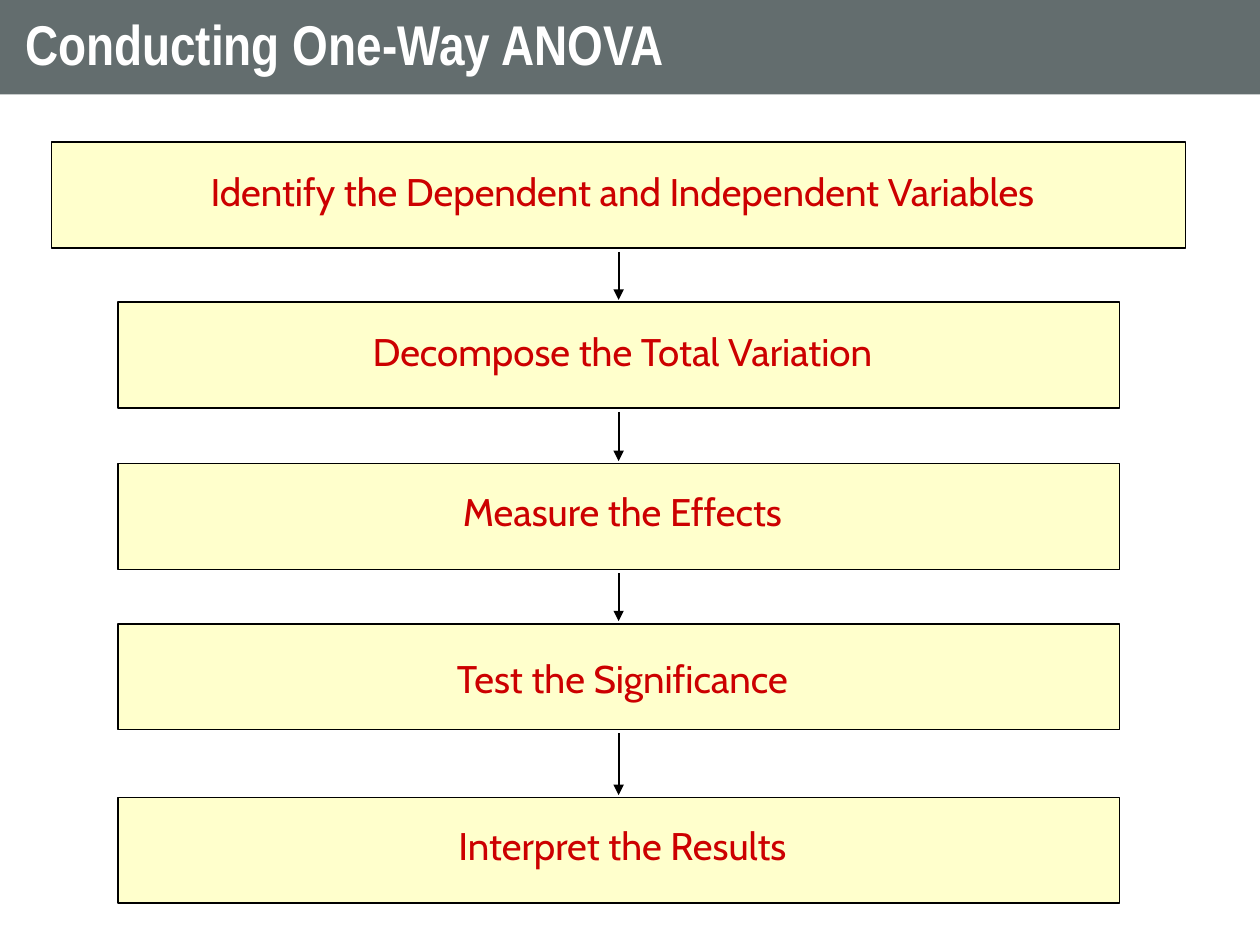
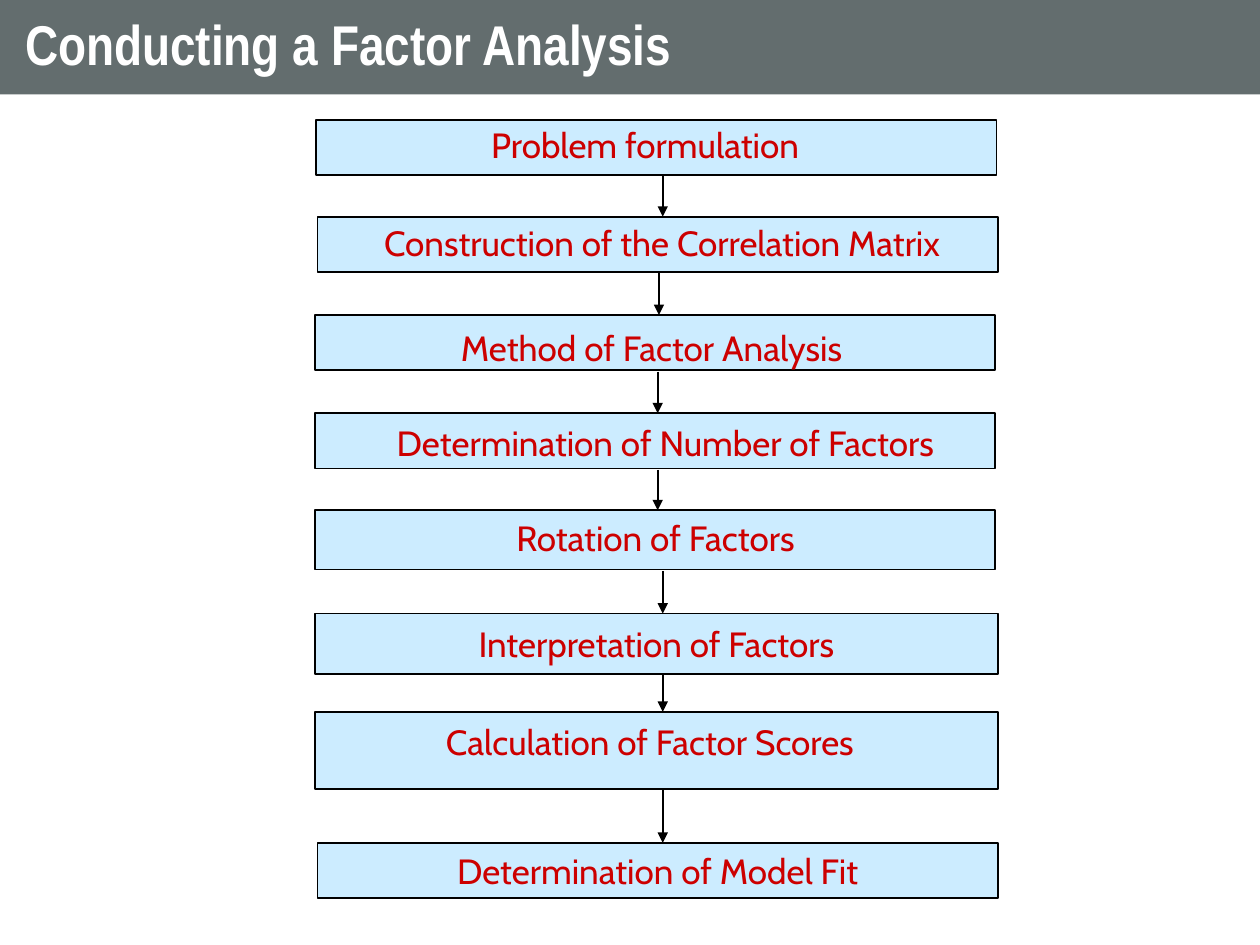
from dataclasses import dataclass
from typing import NamedTuple, Optional

from lxml import etree
from pptx import Presentation
from pptx.dml.color import RGBColor
from pptx.enum.shapes import MSO_CONNECTOR, MSO_SHAPE
from pptx.enum.text import MSO_ANCHOR, MSO_AUTO_SIZE, PP_ALIGN
from pptx.oxml.ns import qn
from pptx.presentation import Presentation as Deck
from pptx.shapes.autoshape import Shape
from pptx.slide import Slide
from pptx.util import Inches, Pt

RECTANGLE = MSO_SHAPE.RECTANGLE
STRAIGHT = MSO_CONNECTOR.STRAIGHT
TOP, MIDDLE = MSO_ANCHOR.TOP, MSO_ANCHOR.MIDDLE
LEFT, CENTER, RIGHT = PP_ALIGN.LEFT, PP_ALIGN.CENTER, PP_ALIGN.RIGHT
GROW, FIXED = MSO_AUTO_SIZE.SHAPE_TO_FIT_TEXT, MSO_AUTO_SIZE.NONE
TITLE_ONLY = 5


@dataclass(frozen=True)
class Theme:
    band: RGBColor = RGBColor(0x63, 0x6D, 0x6E)
    white: RGBColor = RGBColor(0xFF, 0xFF, 0xFF)
    outline: RGBColor = RGBColor(0x00, 0x00, 0x00)
    label: RGBColor = RGBColor(0xCC, 0x00, 0x00)
    yellow: RGBColor = RGBColor(0xFF, 0xFF, 0xCC)
    blue: RGBColor = RGBColor(0xCC, 0xEC, 0xFF)
    title_font: str = "Arial Narrow"
    label_font: str = "Cabin"
    title_size: int = 32
    anova_size: int = 22
    factor_size: int = 20
    line_width: int = 1


THEME = Theme()


class Frame(NamedTuple):
    """A rectangle in inches."""
    left: float
    top: float
    width: float
    height: float

    @property
    def bottom(self) -> float:
        return self.top + self.height


class Step(NamedTuple):
    """A box; its label sits in its own frame, or in the box if there is none."""
    text: str
    box: Frame
    label: Optional[Frame] = None
    align: PP_ALIGN = CENTER
    arrow_x: float = 5.26


@dataclass(frozen=True)
class Flowchart:
    title: str
    steps: list[Step]
    fill: RGBColor
    label_size: int
    label_anchor: MSO_ANCHOR
    wrap: bool
    gap_above_arrow: float
    gap_below_arrow: float


def anova_steps() -> list[Step]:
    center, label_center = 4.91, 4.94
    rows = [
        ("Identify the Dependent and Independent Variables", 1.13, 9, 9.24, 0.15),
        ("Decompose the Total Variation", 2.4, 7.95, 7.57, 0.15),
        ("Measure the Effects", 3.68, 7.95, 7.57, 0.14),
        ("Test the Significance", 4.95, 7.95, 7.57, 0.2),
        ("Interpret the Results", 6.33, 7.95, 7.57, 0.14),
    ]
    return [
        Step(text, Frame(center - width / 2, top, width, 0.84),
             Frame(label_center - label_width / 2, top + drop, label_width, 0.47),
             arrow_x=center)
        for text, top, width, label_width, drop in rows
    ]


FACTOR_STEPS = [
    Step("Problem formulation", Frame(2.51, 0.95, 5.4, 0.44),
         Frame(3.75, 0.93, 2.69, 0.43), RIGHT),
    Step("Construction of the Correlation Matrix", Frame(2.52, 1.72, 5.4, 0.44),
         Frame(2.95, 1.71, 4.81, 0.43), LEFT, 5.23),
    Step("Method of Factor Analysis", Frame(2.5, 2.5, 5.4, 0.44),
         Frame(3.56, 2.54, 3.35, 0.43), LEFT, 5.22),
    Step("Determination of Number of Factors", Frame(2.5, 3.28, 5.4, 0.44),
         Frame(3.05, 3.3, 4.62, 0.43), LEFT, 5.22),
    Step("Rotation of Factors", Frame(2.5, 4.05, 5.4, 0.47),
         Frame(4, 4.05, 2.52, 0.43), LEFT),
    Step("Interpretation of Factors", Frame(2.5, 4.87, 5.42, 0.48)),
    Step("Calculation of Factor Scores", Frame(2.5, 5.65, 5.42, 0.61),
         Frame(3.44, 5.67, 3.65, 0.43), LEFT),
    Step("Determination of Model Fit", Frame(2.52, 6.69, 5.4, 0.44)),
]

FLOWCHARTS = [
    Flowchart("Conducting One-Way ANOVA", anova_steps(), THEME.yellow,
              THEME.anova_size, MIDDLE, True, 0.03, 0.02),
    Flowchart("Conducting a Factor Analysis", FACTOR_STEPS, THEME.blue,
              THEME.factor_size, TOP, False, 0.01, 0),
]


def inches(frame: Frame) -> list[Inches]:
    return [Inches(length) for length in frame]


def write(shape: Shape, text: str, font: str, size: int, color: RGBColor,
          align: PP_ALIGN, bold: bool = False) -> None:
    paragraph = shape.text_frame.paragraphs[0]
    paragraph.alignment = align
    run = paragraph.add_run()
    run.text = text
    run.font.name = font
    run.font.size = Pt(size)
    run.font.bold = bold
    run.font.color.rgb = color


def add_title(slide: Slide, text: str) -> None:
    title = slide.shapes.title
    title.left, title.top, title.width, title.height = inches(Frame(0, 0, 10, 0.75))
    title.fill.solid()
    title.fill.fore_color.rgb = THEME.band
    text_frame = title.text_frame
    text_frame.auto_size = FIXED
    text_frame.vertical_anchor = MIDDLE
    text_frame.margin_left = text_frame.margin_right = Inches(0.2)
    text_frame.margin_top = text_frame.margin_bottom = Inches(0.1)
    write(title, text, THEME.title_font, THEME.title_size, THEME.white, LEFT, True)
    text_frame.paragraphs[0].line_spacing = 0.9


def add_step(slide: Slide, step: Step, chart: Flowchart) -> None:
    box = slide.shapes.add_shape(RECTANGLE, *inches(step.box))
    box.shadow.inherit = False
    box.fill.solid()
    box.fill.fore_color.rgb = chart.fill
    box.line.color.rgb = THEME.outline
    box.line.width = Pt(THEME.line_width)
    holder = box
    if step.label:
        holder = slide.shapes.add_textbox(*inches(step.label))
        holder.text_frame.auto_size = GROW
    holder.text_frame.word_wrap = chart.wrap
    holder.text_frame.vertical_anchor = chart.label_anchor if step.label else MIDDLE
    write(holder, step.text, THEME.label_font, chart.label_size, THEME.label, step.align)


def add_arrow(slide: Slide, x: float, start: float, end: float) -> None:
    arrow = slide.shapes.add_connector(
        STRAIGHT, Inches(x), Inches(start), Inches(x), Inches(end))
    arrow.line.color.rgb = THEME.outline
    arrow.line.width = Pt(THEME.line_width)
    etree.SubElement(arrow.line._get_or_add_ln(), qn("a:tailEnd"), type="triangle")
    etree.SubElement(arrow._element.spPr, qn("a:effectLst"))


def add_flowchart(presentation: Deck, chart: Flowchart) -> None:
    slide = presentation.slides.add_slide(presentation.slide_layouts[TITLE_ONLY])
    add_title(slide, chart.title)
    for step in chart.steps:
        add_step(slide, step, chart)
    for step, following in zip(chart.steps, chart.steps[1:]):
        add_arrow(slide, step.arrow_x, step.box.bottom + chart.gap_above_arrow,
                  following.box.top - chart.gap_below_arrow)


def main() -> None:
    presentation = Presentation()
    presentation.slide_width = Inches(10)
    presentation.slide_height = Inches(7.5)
    for chart in FLOWCHARTS:
        add_flowchart(presentation, chart)
    presentation.save("out.pptx")


if __name__ == "__main__":
    main()
